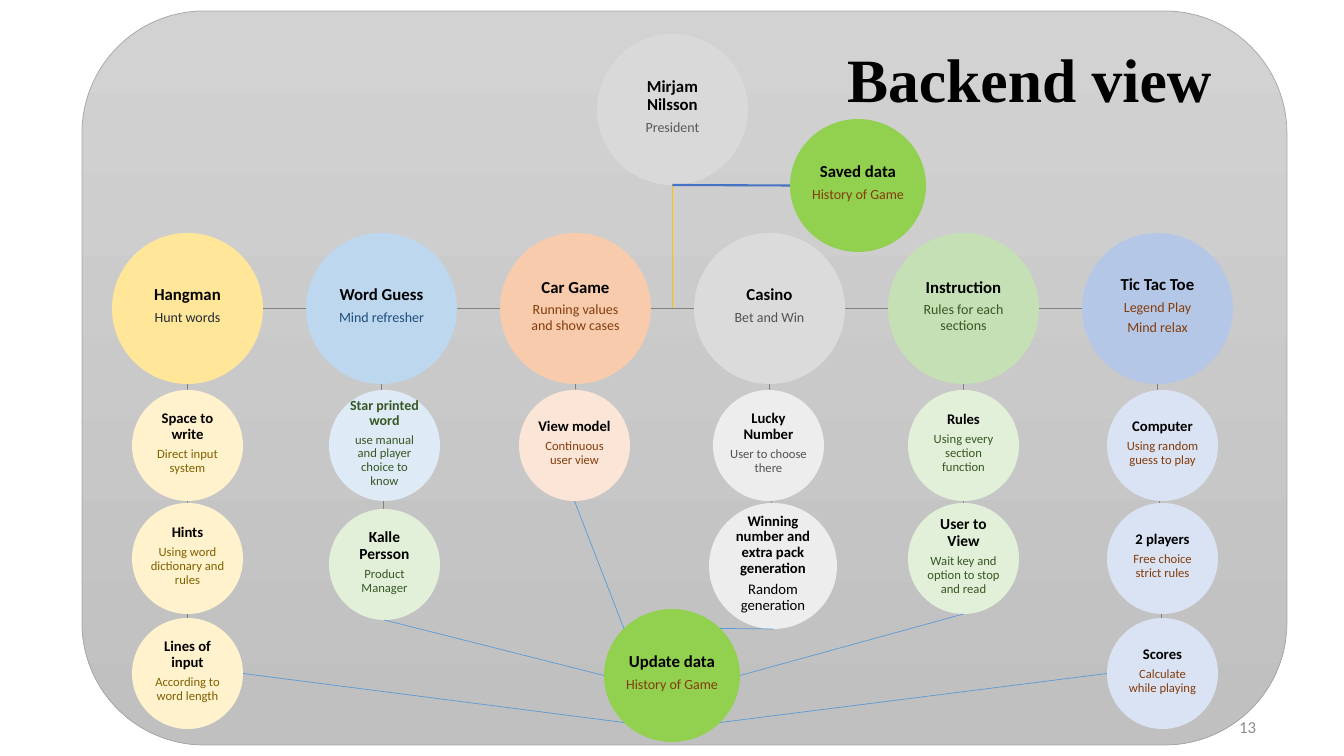
"""Build the backend view slide: game columns of circles linked to shared data."""
from lxml import etree
from pptx import Presentation
from pptx.dml.color import RGBColor
from pptx.enum.shapes import MSO_CONNECTOR, MSO_SHAPE
from pptx.enum.text import MSO_ANCHOR, MSO_AUTO_SIZE, PP_ALIGN
from pptx.oxml.ns import qn
from pptx.util import Pt

ELLIPSE, ROUNDED = MSO_SHAPE.OVAL, MSO_SHAPE.ROUNDED_RECTANGLE
STRAIGHT = MSO_CONNECTOR.STRAIGHT
MIDDLE, NO_FIT = MSO_ANCHOR.MIDDLE, MSO_AUTO_SIZE.NONE
LEFT, CENTER, RIGHT = PP_ALIGN.LEFT, PP_ALIGN.CENTER, PP_ALIGN.RIGHT

SLIDE_WIDTH, SLIDE_HEIGHT = 1344, 756
SCALE = 12192000 / SLIDE_WIDTH
SANS, SERIF = "Calibri", "Times New Roman"
BLACK, GREY, BLUE = "000000", "808080", "5B9BD5"
BROWN, GREEN, DARK_GREY, LIME = "843C0B", "385723", "525252", "92D050"
BIG, SMALL = 151, 111
FIRST_LEFT, COLUMN_STEP, GAME_TOP = 112, 194, 233
CHILD_TOPS = [390, 503, 618]

HUBS = [
    ("Mirjam Nilsson", ["President"], (597, 34, BIG, BIG), "D9D9D9", "595959"),
    ("Saved data", ["History of Game"], (790, 119, 136, 133), LIME, BROWN),
    ("Update data", ["History of Game"], (604, 609, 136, 133), LIME, BROWN),
]
# game, lines, fill, ink, child left, child fill, child ink, children
COLUMNS = [
    ("Hangman", ["Hunt words"], "FFE699", "222A35", 132, "FFF2CC", "806000", [
        ("Space to write", "Direct input system"),
        ("Hints", "Using word dictionary and rules"),
        ("Lines of input", "According to word length")]),
    ("Word Guess", ["Mind refresher"], "BDD7EE", "1F4E79", 329, "DEEBF7", GREEN, [
        ("Star printed word", "use manual and player choice to know"),
        ("Kalle Persson", "Product Manager")]),
    ("Car Game", ["Running values and show cases"], "F8CBAD", BROWN, 519, "FBE5D6", BROWN, [
        ("View model", "Continuous user view")]),
    ("Casino", ["Bet and Win"], "DBDBDB", DARK_GREY, 713, "EDEDED", DARK_GREY, [
        ("Lucky Number", "User to choose there"),
        ("Winning number and extra pack generation", "Random generation")]),
    ("Instruction", ["Rules for each sections"], "C5E0B4", GREEN, 908, "E2F0D9", GREEN, [
        ("Rules", "Using every section function"),
        ("User to View", "Wait key and option to stop and read")]),
    ("Tic Tac Toe", ["Legend Play", "Mind relax"], "B4C7E7", BROWN, 1107, "DAE3F3", BROWN, [
        ("Computer", "Using random guess to play"),
        ("2 players", "Free choice strict rules"),
        ("Scores", "Calculate while playing")]),
]
SPECIAL = {
    "Star printed word": {"size": 10, "title_ink": GREEN},
    "Kalle Persson": {"size": 11, "fill": "E2F0D9", "frame": (329, 509, SMALL, SMALL)},
    "Winning number and extra pack generation": {
        "frame": (709, 503, 128, 126), "ink": BLACK, "line_size": 10.5},
    "User to View": {"size": 11},
}
# start circle, its side, end circle, its side; a side is (across, down) from the centre
LINKS = [
    ("Lines of input", (1, 0), "Update data", (-1, 1)),
    ("Kalle Persson", (0, 1), "Update data", (-1, 0)),
    ("View model", (0, 1), "Update data", (-1, -1)),
    ("Winning number and extra pack generation", (0, 1), "Update data", (1, -1)),
    ("User to View", (0, 1), "Update data", (1, 0)),
    ("Scores", (-1, 0), "Update data", (1, 1)),
]


def px(*lengths):
    return [round(length * SCALE) for length in lengths]


def colour(value):
    return RGBColor.from_string(value)


def write(para, text, size, ink, bold=False, font=SANS, align=CENTER):
    para.alignment = align
    span = para.add_run()
    span.text = text
    span.font.size, span.font.bold, span.font.name = Pt(size), bold, font
    span.font.color.rgb = colour(ink)


def draw_line(page, start, end, ink, width=0.5):
    line = page.shapes.add_connector(STRAIGHT, *px(*start, *end))
    line.line.color.rgb, line.line.width = colour(ink), Pt(width)
    etree.SubElement(line._element.spPr, qn("a:effectLst"))


def draw_circle(page, title, lines, frame, fill, ink, size=12, line_size=10, title_ink=BLACK):
    circle = page.shapes.add_shape(ELLIPSE, *px(*frame))
    circle.shadow.inherit = False
    circle.fill.solid()
    circle.fill.fore_color.rgb = colour(fill)
    circle.line.fill.background()
    body = circle.text_frame
    body.word_wrap, body.vertical_anchor = True, MIDDLE
    body.margin_left, body.margin_top, body.margin_right, body.margin_bottom = px(1, 1, 1, 6)
    for index, text in enumerate([title] + lines):
        para = body.add_paragraph() if index else body.paragraphs[0]
        text_size = line_size if index else size
        para.line_spacing, para.space_after = 0.9, Pt(0.35 * text_size)
        write(para, text, text_size, ink if index else title_ink, bold=not index)


def side_point(frame, side):
    left, top, width, height = frame
    reach = 0.5 ** 0.5 if all(side) else 1
    return (left + width / 2 * (1 + side[0] * reach),
            top + height / 2 * (1 + side[1] * reach))


def collect_circles():
    circles = {hub[0]: dict(zip(("lines", "frame", "fill", "ink"), hub[1:])) for hub in HUBS}
    for index, column in enumerate(COLUMNS):
        game, lines, fill, ink, child_left, child_fill, child_ink, children = column
        frame = (FIRST_LEFT + index * COLUMN_STEP, GAME_TOP, BIG, BIG)
        circles[game] = {"lines": lines, "frame": frame, "fill": fill, "ink": ink}
        for top, (title, text) in zip(CHILD_TOPS, children):
            child = {"lines": [text], "frame": (child_left, top, SMALL, SMALL),
                     "fill": child_fill, "ink": child_ink, "size": 10.5, "line_size": 9}
            circles[title] = {**child, **SPECIAL.get(title, {})}
    return circles


def draw_panel(page):
    panel = page.shapes.add_shape(ROUNDED, *px(82, 11, 1205, 734))
    panel.shadow.inherit = False
    panel.fill.gradient()
    panel.fill.gradient_angle = 270
    for stop, shade in zip(panel.fill.gradient_stops, ("D2D2D2", "C0C0C0")):
        stop.color.rgb = colour(shade)
    panel.line.color.rgb, panel.line.width = colour("A5A5A5"), Pt(0.5)


def place_title(page):
    title = page.shapes.title
    title.left, title.top, title.width, title.height = px(837, 36, 420, 94)
    body = title.text_frame
    body.auto_size, body.word_wrap, body.vertical_anchor = NO_FIT, True, MIDDLE
    body.paragraphs[0].line_spacing = 0.9
    write(body.paragraphs[0], "Backend view", 44, BLACK, True, SERIF, LEFT)
    page.shapes._spTree.append(title._element)


def place_number(page):
    box = page.shapes.add_textbox(*px(964, 707, 302, 40))
    box.text_frame.word_wrap, box.text_frame.vertical_anchor = True, MIDDLE
    write(box.text_frame.paragraphs[0], "13", 12, "8C8C8C", align=RIGHT)


def main():
    deck = Presentation()
    deck.slide_width, deck.slide_height = px(SLIDE_WIDTH, SLIDE_HEIGHT)
    page = deck.slides.add_slide(deck.slide_layouts[5])
    circles = collect_circles()

    def point(name, side):
        return side_point(circles[name]["frame"], side)

    draw_panel(page)
    place_number(page)
    row_start, row_end = point("Hangman", (1, 0)), point("Tic Tac Toe", (-1, 0))
    president_foot = point("Mirjam Nilsson", (0, 1))
    draw_line(page, president_foot, (president_foot[0], row_start[1]), "FFC000")
    draw_line(page, row_start, row_end, GREY)
    for column in COLUMNS:
        draw_line(page, point(column[0], (0, 1)), point(column[-1][-1][0], (0, 0)), GREY)
    for title, circle in circles.items():
        draw_circle(page, title, **circle)
    draw_line(page, point("Saved data", (-1, 0)), president_foot, "4472C4", 1.5)
    for start, start_side, end, end_side in LINKS:
        draw_line(page, point(start, start_side), point(end, end_side), BLUE)
    place_title(page)
    deck.save("out.pptx")


if __name__ == "__main__":
    main()
